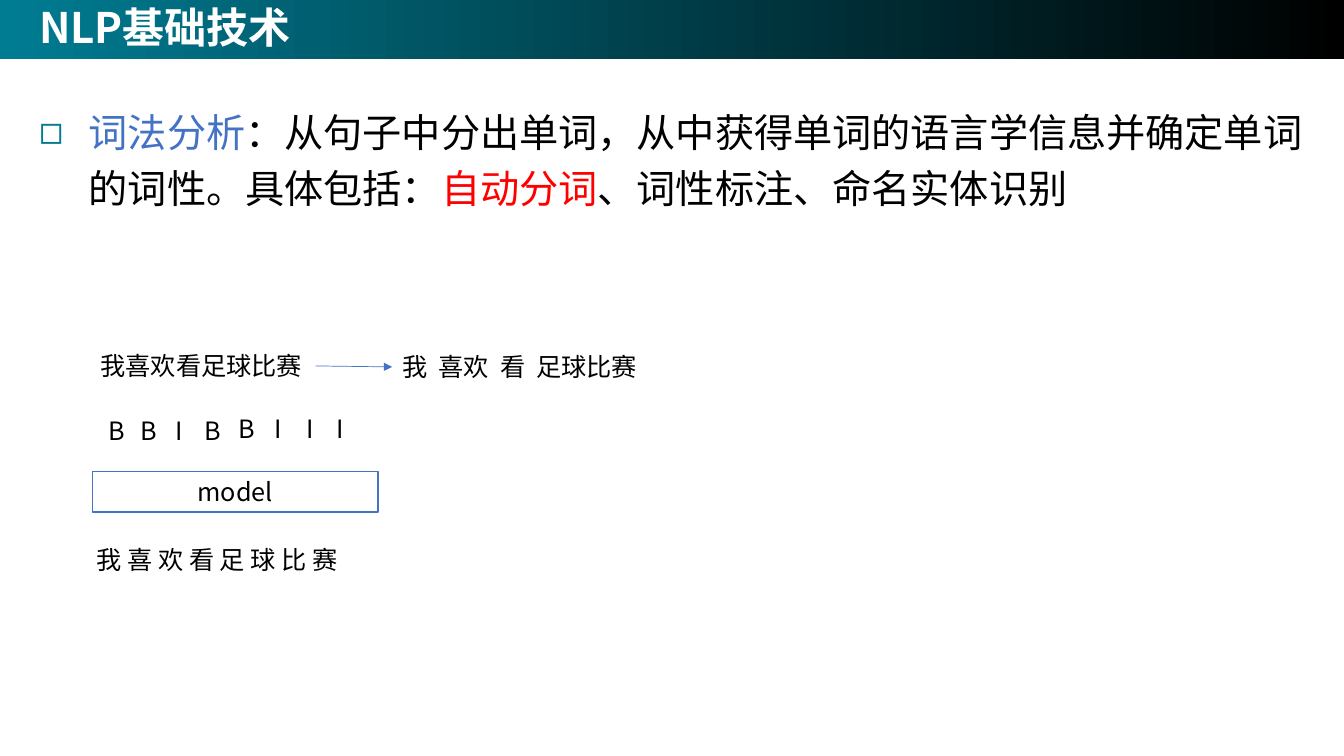
from lxml import etree
from pptx import Presentation, util as u
from pptx.dml.color import RGBColor
from pptx.enum import shapes, text
from pptx.oxml.ns import qn

Pt = u.Pt
TEAL = RGBColor(0x00, 0x7C, 0x92)
BLUE = RGBColor(0x44, 0x72, 0xC4)
RED = RGBColor(0xFF, 0x00, 0x00)
BLACK = RGBColor(0x00, 0x00, 0x00)
WHITE = RGBColor(0xFF, 0xFF, 0xFF)
FONT = "Noto Sans CJK SC"
LABEL_HEIGHT = 28.8


def apply(target, values):
    for name, value in values.items():
        setattr(target, name, value)


def add_child(parent, tag, **attributes):
    return etree.SubElement(parent, qn(tag), attributes)


def place(part, left, top, width, height):
    apply(part, dict(left=Pt(left), top=Pt(top), width=Pt(width), height=Pt(height)))


def write(paragraph, wording, size, color, bold=False):
    """Append a run that uses the slide font for Latin and Chinese letters."""
    run = paragraph.add_run()
    run.text = wording
    apply(run.font, dict(name=FONT, size=Pt(size), bold=bold))
    run.font.color.rgb = color
    add_child(run.font._element, "a:ea", typeface=FONT)


def label(group, wording, left, top, width, tab_stops=(), wrap=True,
          anchor=text.MSO_ANCHOR.TOP):
    caption = group.shapes.add_textbox(Pt(left), Pt(top), Pt(width), Pt(LABEL_HEIGHT))
    frame = caption.text_frame
    apply(frame, dict(word_wrap=wrap, vertical_anchor=anchor,
                      auto_size=text.MSO_AUTO_SIZE.SHAPE_TO_FIT_TEXT))
    paragraph = frame.paragraphs[0]
    if tab_stops:
        tabs = add_child(paragraph._p.get_or_add_pPr(), "a:tabLst")
        for stop in tab_stops:
            add_child(tabs, "a:tab", pos=str(Pt(stop)), algn="l")
    write(paragraph, wording, 18, BLACK)


def title_bar(title, left, top, width, height):
    place(title, left, top, width, height)
    title.fill.gradient()
    title.fill.gradient_angle = 0
    for stop, color in zip(title.fill.gradient_stops, (TEAL, BLACK)):
        stop.color.rgb = color
    frame = title.text_frame
    apply(frame, dict(margin_left=Pt(28), margin_right=Pt(7.2), margin_top=Pt(3.6),
                      margin_bottom=Pt(3.6), word_wrap=True,
                      auto_size=text.MSO_AUTO_SIZE.NONE,
                      vertical_anchor=text.MSO_ANCHOR.MIDDLE))
    heading = frame.paragraphs[0]
    apply(heading, dict(alignment=text.PP_ALIGN.LEFT, line_spacing=0.9))
    write(heading, "NLP基础技术", 30, WHITE, bold=True)


def definition(body, left, top, width, height):
    place(body, left, top, width, height)
    frame = body.text_frame
    margins = ("margin_left", "margin_right", "margin_top", "margin_bottom")
    apply(frame, dict.fromkeys(margins, Pt(28)))
    apply(frame, dict(word_wrap=True, auto_size=text.MSO_AUTO_SIZE.NONE,
                      vertical_anchor=text.MSO_ANCHOR.TOP))
    item = frame.paragraphs[0]
    properties = item._p.get_or_add_pPr()
    properties.set("marL", str(Pt(35.4)))
    properties.set("indent", str(Pt(-35.4)))
    add_child(add_child(properties, "a:buClr"), "a:srgbClr", val=str(TEAL))
    add_child(properties, "a:buChar", char="◻")
    apply(item, dict(alignment=text.PP_ALIGN.LEFT, line_spacing=1.2, space_before=Pt(0)))
    for wording, color in (
        ("词法分析", BLUE),
        ("：从句子中分出单词，从中获得单词的语言学信息并确定单词的词性。具体包括：", BLACK),
        ("自动分词", RED),
        ("、词性标注、命名实体识别", BLACK),
    ):
        write(item, wording, 28, color)


def segmentation_example(slide, left, top):
    """Sentence, arrow and segmented sentence in one row."""
    group = slide.shapes.add_group_shape()
    label(group, "我喜欢看足球比赛", left, top, 160.6)
    arrow = group.shapes.add_connector(
        shapes.MSO_CONNECTOR.STRAIGHT, Pt(left + 160.6), Pt(top + 14.4),
        Pt(left + 215.3), Pt(top + 15.1))
    arrow.line.color.rgb = BLUE
    arrow.line.width = Pt(0.5)
    add_child(arrow.line._get_or_add_ln(), "a:tailEnd", type="triangle")
    add_child(arrow._element.spPr, "a:effectLst")
    label(group, "我\t喜欢\t看\t足球比赛", left + 215.3, top + 0.7, 200.2,
          tab_stops=(25.7, 70, 95.7))


def tagging_model(slide, left, top):
    """Tags above the model box, characters below it."""
    group = slide.shapes.add_group_shape()
    model = group.shapes.add_shape(
        shapes.MSO_SHAPE.RECTANGLE, Pt(left + 4.3), Pt(top + 45.4),
        Pt(203.8), Pt(LABEL_HEIGHT))
    model.shadow.inherit = False
    model.fill.solid()
    model.fill.fore_color.rgb = WHITE
    model.line.color.rgb = BLUE
    model.line.width = Pt(1)
    frame = model.text_frame
    apply(frame, dict(word_wrap=True, vertical_anchor=text.MSO_ANCHOR.TOP,
                      auto_size=text.MSO_AUTO_SIZE.SHAPE_TO_FIT_TEXT))
    frame.paragraphs[0].alignment = text.PP_ALIGN.CENTER
    write(frame.paragraphs[0], "model", 18, BLACK)
    label(group, "我 喜 欢 看 足 球 比 赛", left, top + 93.6, 222.5)

    tag_widths = {"B": 24.5, "I": 19.4}
    tag_offsets = (8.6, 31.7, 56.2, 77, 101.5, 127.4, 149.8, 171.4)
    for position, (tag, offset) in enumerate(zip("BBIBBIII", tag_offsets)):
        drop = 1.4 if position < 4 else 0
        label(group, tag, left + offset, top + drop, tag_widths[tag],
              wrap=False, anchor=text.MSO_ANCHOR.BOTTOM)


def main():
    deck = Presentation()
    apply(deck, dict(slide_width=Pt(960), slide_height=Pt(540)))
    slide = deck.slides.add_slide(deck.slide_layouts[1])
    title_bar(slide.shapes.title, 0, 0, 960, 42.5)
    definition(slide.placeholders[1], 0, 42.5, 960, 482.4)
    segmentation_example(slide, 64.8, 247)
    tagging_model(slide, 61.9, 291.6)
    deck.save("out.pptx")


if __name__ == "__main__":
    main()
